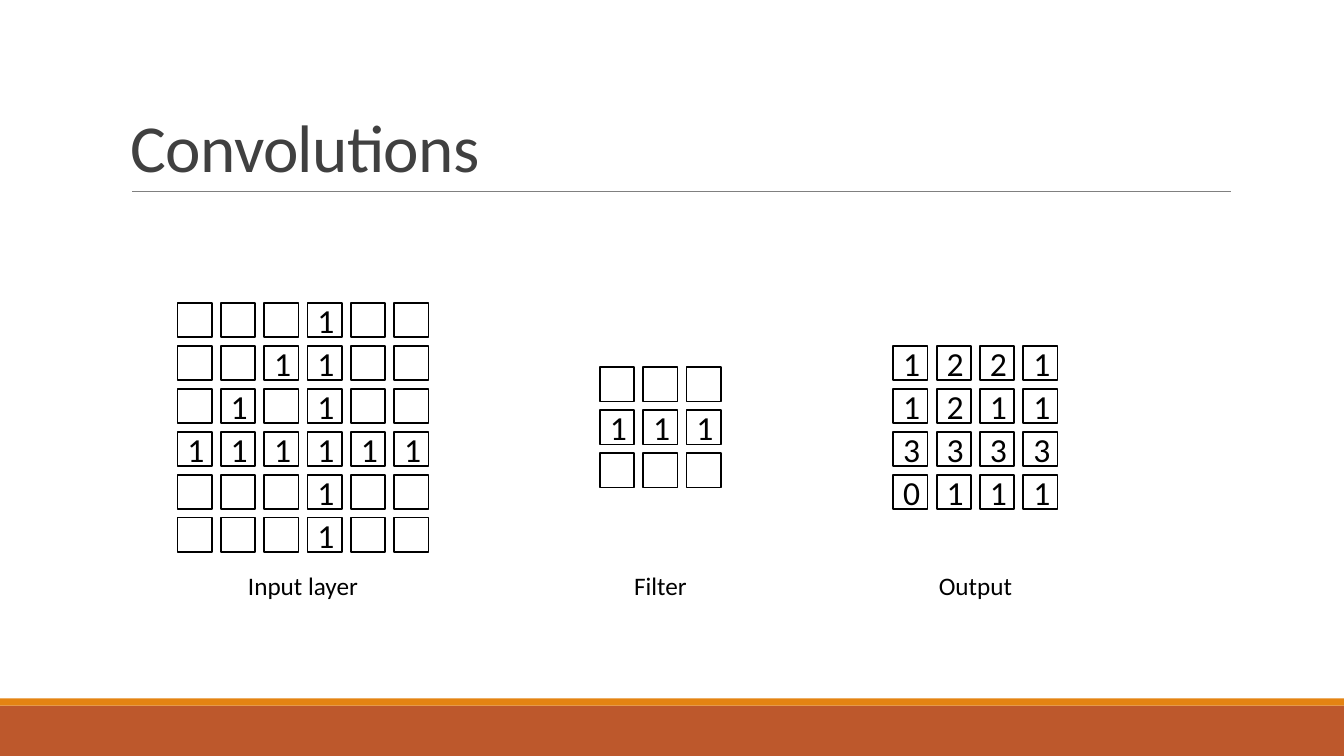
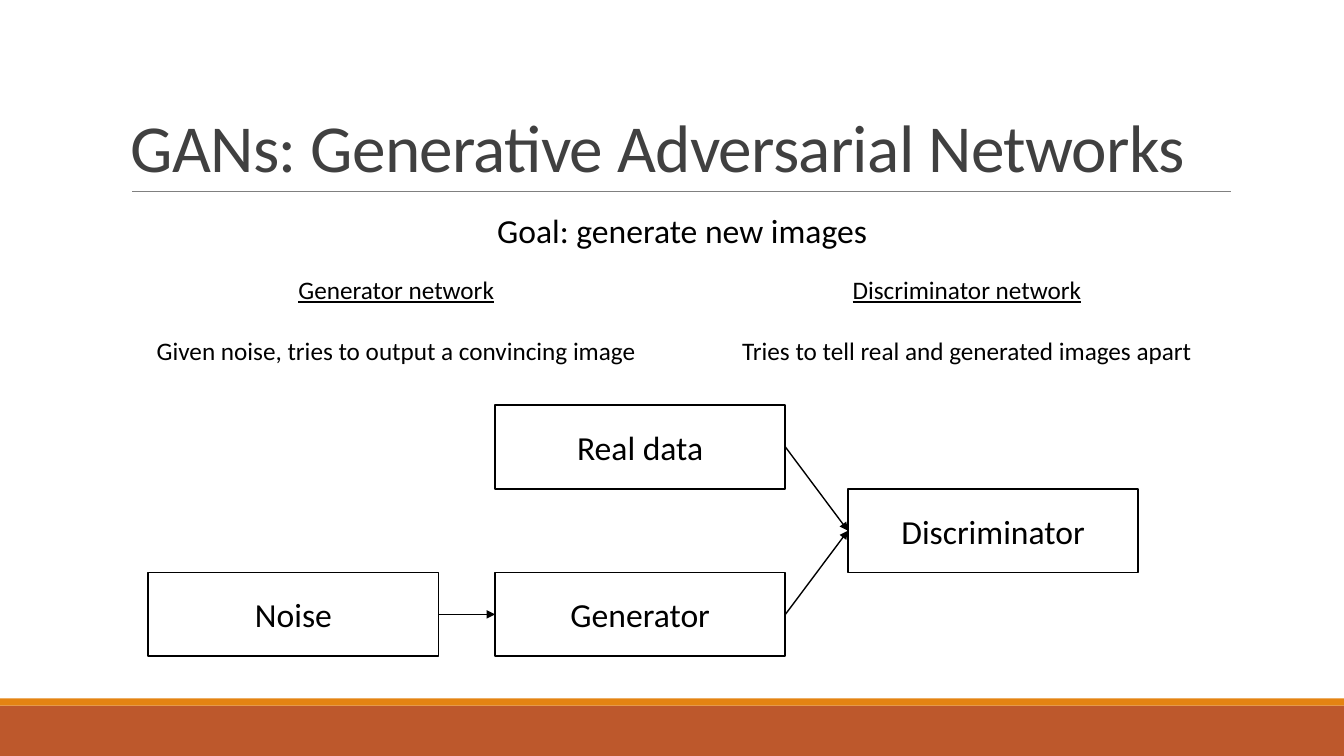
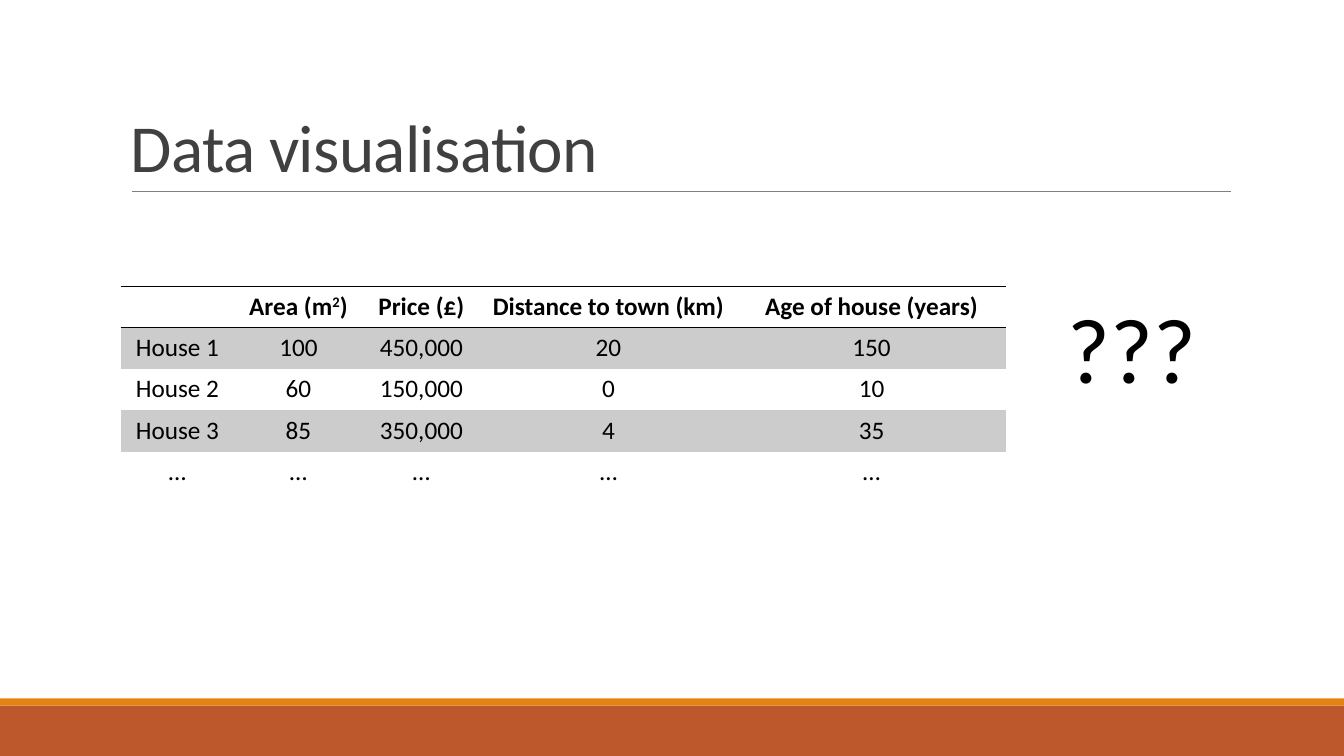
from dataclasses import dataclass

from lxml import etree
from pptx import Presentation
from pptx.dml.color import RGBColor
from pptx.enum.shapes import MSO_CONNECTOR, MSO_SHAPE
from pptx.enum.text import MSO_ANCHOR, PP_ALIGN
from pptx.oxml.ns import qn
from pptx.util import Inches, Pt

RECTANGLE = MSO_SHAPE.RECTANGLE
STRAIGHT = MSO_CONNECTOR.STRAIGHT
MIDDLE, BOTTOM = MSO_ANCHOR.MIDDLE, MSO_ANCHOR.BOTTOM
LEFT, CENTER = PP_ALIGN.LEFT, PP_ALIGN.CENTER
RIGHT_SIDE, LEFT_SIDE = 3, 1

SLIDE_W, SLIDE_H = 13.33, 7.5
FONT = "Calibri"
BLACK, WHITE, TITLE_GREY, RULE_GREY = "000000", "FFFFFF", "404040", "808080"
RUST, ORANGE, STRIPE = "BD582C", "E48312", "CCCCCC"
NO_GRID_STYLE = "{2D5ABB26-0587-4C30-8999-92F81FD0307C}"

FOOTER_H, ACCENT_H = 0.5, 0.07
TITLE_LEFT, TITLE_TOP, TITLE_W, RULE_Y = 1.2, 0.31, 11, 1.9
RULE_LEFT, RULE_RIGHT = 1.31, 12.21

CELL = 0.34
PITCH_X, PITCH_Y = (2.49 - CELL) / 5, (2.47 - CELL) / 5
GRID_MIDDLE, GRID_LABEL_TOP = 4.24, 5.61

FLOW_COLUMNS = (1.47, 4.91, 8.41)
FLOW_TOP, NODE_W, NODE_H = 4.02, 2.88, 0.83


@dataclass(frozen=True)
class CellGrid:
    """Rows of digits; a dot marks an empty cell."""
    label: str
    left: float
    rows: tuple[str, ...]


@dataclass(frozen=True)
class Node:
    text: str
    column: int
    row: int


@dataclass(frozen=True)
class Network:
    heading: str
    purpose: str
    left: float


CELL_GRIDS = (
    CellGrid("Input layer", 1.76,
             ("...1..", "..11..", ".1.1..", "111111", "...1..", "...1..")),
    CellGrid("Filter", 5.95, ("...", "111", "...")),
    CellGrid("Output", 8.86, ("1221", "1211", "3333", "0111")),
)
NETWORKS = (
    Network("Generator network",
            "Given noise, tries to output a convincing image", 1.12),
    Network("Discriminator network",
            "Tries to tell real and generated images apart", 6.78),
)
NODES = (
    Node("Generator", 1, 2),
    Node("Noise", 0, 2),
    Node("Real data", 1, 0),
    Node("Discriminator", 2, 1),
)
FLOWS = (
    ("Noise", "Generator"),
    ("Real data", "Discriminator"),
    ("Generator", "Discriminator"),
)
HOUSE_COLUMNS = (1.12, 1.28, 1.16, 2.55, 2.67)
HOUSE_ROW_H = 0.41
HOUSES = (
    ("", "Area (m^2)", "Price (£)", "Distance to town (km)",
     "Age of house (years)"),
    ("House 1", "100", "450,000", "20", "150"),
    ("House 2", "60", "150,000", "0", "10"),
    ("House 3", "85", "350,000", "4", "35"),
    ("…",) * 5,
)


def colour(value: str) -> RGBColor:
    return RGBColor.from_string(value)


def style(para, size: float, align=CENTER, color: str = BLACK,
          bold: bool = False) -> None:
    para.alignment = align
    font = para.font
    font.name, font.size, font.bold = FONT, Pt(size), bold
    font.color.rgb = colour(color)


def add_text(page, text: str, left: float, top: float, width: float,
             height: float, size: float, align=CENTER, color: str = BLACK):
    box = page.shapes.add_textbox(*map(Inches, (left, top, width, height)))
    box.text_frame.word_wrap = True
    para = box.text_frame.paragraphs[0]
    para.add_run().text = text
    style(para, size, align, color)
    return box


def add_rectangle(shapes, left: float, top: float, width: float,
                  height: float, fill: str | None = None,
                  line: str | None = None, text: str = ""):
    box = shapes.add_shape(RECTANGLE, *map(Inches, (left, top, width, height)))
    box.shadow.inherit = False
    if fill:
        box.fill.solid()
        box.fill.fore_color.rgb = colour(fill)
    else:
        box.fill.background()
    if line:
        box.line.color.rgb = colour(line)
        box.line.width = Pt(1.25)
    else:
        box.line.fill.background()
    if text:
        box.text_frame.vertical_anchor = MIDDLE
        para = box.text_frame.paragraphs[0]
        para.add_run().text = text
        style(para, 24)
    return box


def add_line(page, start: tuple[float, float], end: tuple[float, float],
             color: str, width: float):
    line = page.shapes.add_connector(STRAIGHT, *map(Inches, start + end))
    line.line.color.rgb = colour(color)
    line.line.width = Pt(width)
    etree.SubElement(line._element.spPr, qn("a:effectLst"))
    return line


def add_arrow(page, source, target) -> None:
    arrow = add_line(page, (0, 0), (0, 0), BLACK, 1)
    arrow.begin_connect(source, RIGHT_SIDE)
    arrow.end_connect(target, LEFT_SIDE)
    outline = arrow.line._get_or_add_ln()
    etree.SubElement(outline, qn("a:tailEnd"), type="triangle")


def add_page(deck, title: str):
    """Add a slide with the shared bands, title and rule."""
    page = deck.slides.add_slide(deck.slide_layouts[6])
    footer_top = SLIDE_H - FOOTER_H
    add_rectangle(page.shapes, 0, footer_top, SLIDE_W, FOOTER_H, RUST)
    add_rectangle(page.shapes, 0, footer_top - ACCENT_H, SLIDE_W, ACCENT_H,
                  ORANGE)
    add_line(page, (RULE_LEFT, RULE_Y), (RULE_RIGHT, RULE_Y), RULE_GREY, 0.5)
    box = add_text(page, title, TITLE_LEFT, TITLE_TOP, TITLE_W,
                   RULE_Y - TITLE_TOP, 48, LEFT, TITLE_GREY)
    box.text_frame.vertical_anchor = BOTTOM
    para = box.text_frame.paragraphs[0]
    para.line_spacing = 0.85
    para.runs[0]._r.get_or_add_rPr().set("spc", "-50")
    return page


def add_cell_grid(page, grid: CellGrid) -> None:
    width = (len(grid.rows[0]) - 1) * PITCH_X + CELL
    height = (len(grid.rows) - 1) * PITCH_Y + CELL
    top = GRID_MIDDLE - height / 2
    group = page.shapes.add_group_shape()
    for row, digits in enumerate(grid.rows):
        for column, digit in enumerate(digits):
            add_rectangle(group.shapes, grid.left + column * PITCH_X,
                          top + row * PITCH_Y, CELL, CELL, line=BLACK,
                          text=digit.strip("."))
    add_text(page, grid.label, grid.left, GRID_LABEL_TOP, width, 0.4, 18)


def add_network(page, network: Network) -> None:
    box = add_text(page, network.heading, network.left, 2.67, 5.62, 1.01, 18)
    box.text_frame.paragraphs[0].runs[0].font.underline = True
    purpose = box.text_frame.add_paragraph()
    purpose.add_run().text = network.purpose
    purpose.space_before = Pt(22)
    style(purpose, 18)


def add_border(cell, side: str) -> None:
    line = etree.SubElement(cell._tc.get_or_add_tcPr(), qn(f"a:{side}"),
                            w=str(Pt(1)))
    fill = etree.SubElement(line, qn("a:solidFill"))
    etree.SubElement(fill, qn("a:srgbClr"), val=BLACK)


def fill_cell(cell, text: str, header: bool, shaded: bool) -> None:
    """Write a cell; a caret in the text raises the next character."""
    para = cell.text_frame.paragraphs[0]
    before, caret, after = text.partition("^")
    if before:
        para.add_run().text = before
    if caret:
        raised = para.add_run()
        raised.text = after[0]
        raised._r.get_or_add_rPr().set("baseline", "30000")
        para.add_run().text = after[1:]
    style(para, 18, bold=header)
    if header:
        add_border(cell, "lnT")
        add_border(cell, "lnB")
    if shaded:
        cell.fill.solid()
        cell.fill.fore_color.rgb = colour(STRIPE)
    else:
        cell.fill.background()


def add_house_table(page, left: float, top: float) -> None:
    frame = page.shapes.add_table(
        len(HOUSES), len(HOUSE_COLUMNS), Inches(left), Inches(top),
        Inches(sum(HOUSE_COLUMNS)), Inches(HOUSE_ROW_H * len(HOUSES)))
    table = frame.table
    table.first_row = table.horz_banding = False
    table._tbl.tblPr.find(qn("a:tableStyleId")).text = NO_GRID_STYLE
    for column, width in zip(table.columns, HOUSE_COLUMNS):
        column.width = Inches(width)
    for index, values in enumerate(HOUSES):
        table.rows[index].height = Inches(HOUSE_ROW_H)
        for cell, text in zip(table.rows[index].cells, values):
            fill_cell(cell, text, header=index == 0, shaded=index % 2 == 1)


def build_convolutions(deck) -> None:
    page = add_page(deck, "Convolutions")
    for grid in CELL_GRIDS:
        add_cell_grid(page, grid)


def build_gans(deck) -> None:
    page = add_page(deck, "GANs: Generative Adversarial Networks")
    add_text(page, "Goal: generate new images", 1.12, 2.03, 11.29, 0.5, 24)
    for network in NETWORKS:
        add_network(page, network)
    boxes = {
        node.text: add_rectangle(
            page.shapes, FLOW_COLUMNS[node.column],
            FLOW_TOP + node.row * NODE_H, NODE_W, NODE_H, WHITE, BLACK,
            node.text)
        for node in NODES
    }
    for source, target in FLOWS:
        add_arrow(page, boxes[source], boxes[target])


def build_data_visualisation(deck) -> None:
    page = add_page(deck, "Data visualisation")
    add_house_table(page, TITLE_LEFT, 2.84)
    add_text(page, "???", 10.49, 2.84, 2.36, 1.21, 66, LEFT)


def main() -> None:
    deck = Presentation()
    deck.slide_width, deck.slide_height = Inches(SLIDE_W), Inches(SLIDE_H)
    build_convolutions(deck)
    build_gans(deck)
    build_data_visualisation(deck)
    deck.save("out.pptx")


if __name__ == "__main__":
    main()
